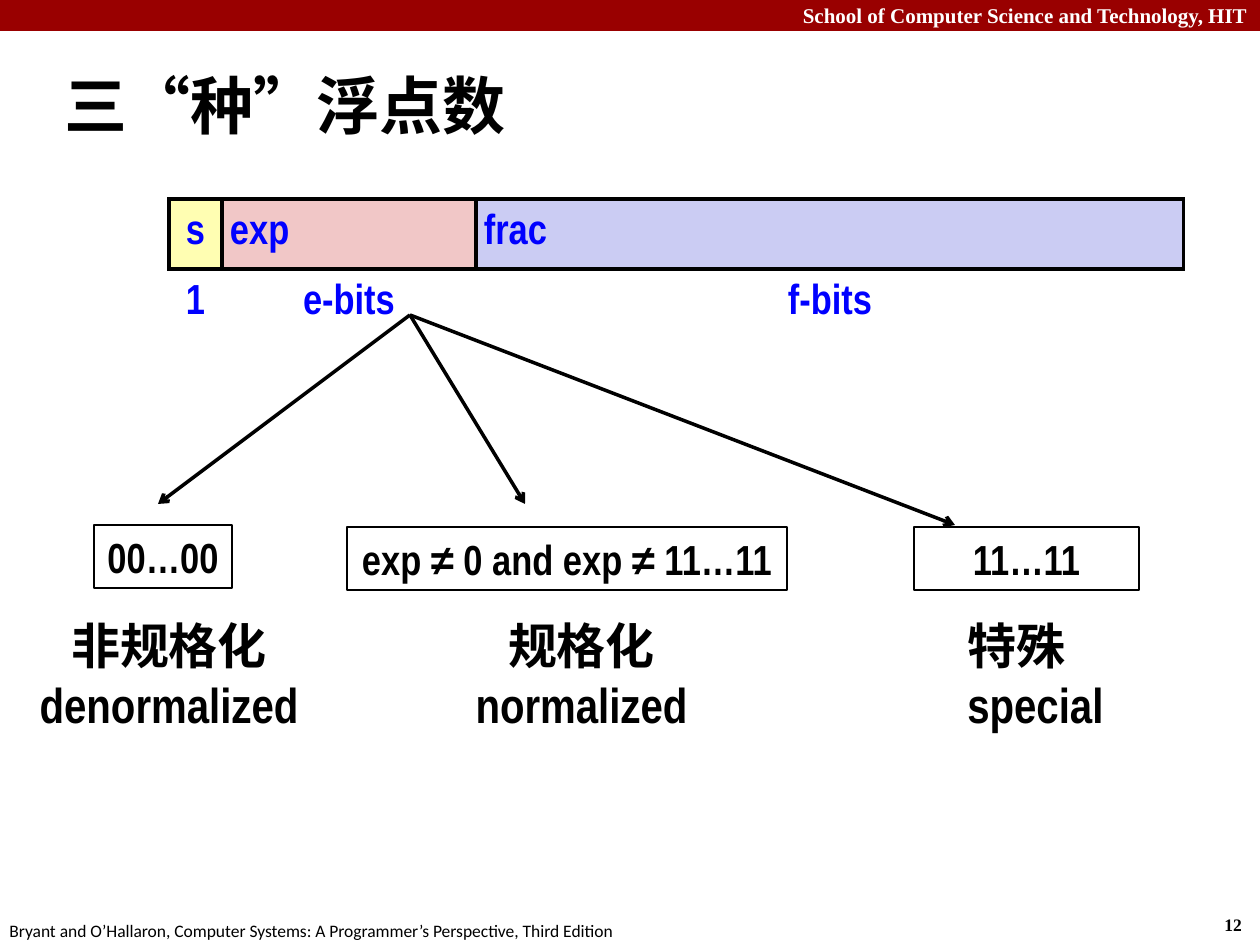
from lxml import etree
from pptx import Presentation
from pptx.dml.color import RGBColor
from pptx.enum import lang, shapes, text
from pptx.oxml.ns import qn
from pptx.util import Pt

PX = 914400 // 126
NARROW, SERIF, SANS = "Arial Narrow", "Times New Roman", "Calibri"
LEFT, CENTER, RIGHT = text.PP_ALIGN.LEFT, text.PP_ALIGN.CENTER, text.PP_ALIGN.RIGHT

CAPTIONS = [
    ("12", (1212, 908, 47, 34), dict(size=10, font=SERIF, bold=True)),
    ("School of Computer Science and Technology, HIT", (0, -4, 1260, 38),
     dict(size=12, font=SERIF, color="FFFFFF", bold=True, align=RIGHT, wrap=True)),
    ("Bryant and O’Hallaron, Computer Systems: A Programmer’s Perspective, Third Edition",
     (-3, 914, 640, 34), dict(size=10, font=SANS)),
    ("三“种”浮点数", (52, 52, 1198, 105),
     dict(size=36, font=SANS, bold=True, wrap=True, anchor=text.MSO_ANCHOR.MIDDLE)),
]
FIELDS = [
    ("s", "1", 53, "FFFEB2", CENTER),
    ("exp", "e-bits", 254, "F1C7C7", LEFT),
    ("frac", "f-bits", 708, "CBCCF3", LEFT),
]
TABLE_LEFT, TABLE_TOP, ROW_HEIGHT, CELL_MARGIN = 169, 199, 70, 8
ARROW_START = (410, 315)
KINDS = [
    dict(tip=(158, 504), pattern="00…00", box=(94, 525, 138, 63),
         names=["非规格化", "denormalized"], label=(26, 609, 286, 131), align=CENTER),
    dict(tip=(525, 504), pattern="exp ≠ 0 and exp ≠ 11…11", box=(347, 527, 440, 63),
         names=["规格化", "normalized"], label=(462, 609, 239, 131), align=CENTER),
    dict(tip=(955, 525), pattern="11…11", box=(914, 527, 225, 63),
         names=["特殊", "special"], label=(955, 609, 163, 131), align=LEFT),
]


def px(*values):
    return [value * PX for value in values]


def rgb(value):
    return RGBColor.from_string(value)


def write(frame, lines, size=24, font=NARROW, color="000000", bold=False,
          align=LEFT, wrap=False, anchor=text.MSO_ANCHOR.TOP):
    frame.word_wrap = wrap
    frame.vertical_anchor = anchor
    for index, line in enumerate(lines):
        paragraph = frame.add_paragraph() if index else frame.paragraphs[0]
        paragraph.alignment = align
        run = paragraph.add_run()
        run.text = line
        run.font.size = Pt(size)
        run.font.name = font
        run.font.bold = bold
        run.font.color.rgb = rgb(color)
        if any("一" <= letter <= "龥" for letter in line):
            run.font.language_id = lang.MSO_LANGUAGE_ID.SIMPLIFIED_CHINESE


def add_text(slide, lines, place, **style):
    write(slide.shapes.add_textbox(*px(*place)).text_frame, lines, **style)


def add_rectangle(slide, place, fill=None, line=None):
    shape = slide.shapes.add_shape(shapes.MSO_SHAPE.RECTANGLE, *px(*place))
    shape.shadow.inherit = False
    if fill:
        shape.fill.solid()
        shape.fill.fore_color.rgb = rgb(fill)
    else:
        shape.fill.background()
    if line:
        shape.line.color.rgb = rgb(line)
        shape.line.width = Pt(0.75)
    else:
        shape.line.fill.background()
    return shape


def add_arrow(slide, start, tip):
    arrow = slide.shapes.add_connector(shapes.MSO_CONNECTOR.STRAIGHT, *px(*start, *tip))
    arrow.line.color.rgb = rgb("000000")
    arrow.line.width = Pt(2)
    etree.SubElement(arrow.line._get_or_add_ln(), qn("a:tailEnd"), type="arrow")
    etree.SubElement(arrow._element.spPr, qn("a:effectLst"))


def set_borders(cell, sides):
    properties = cell._tc.get_or_add_tcPr()
    for position, side in enumerate(("L", "R", "T", "B")):
        border = etree.Element(qn(f"a:ln{side}"), w=str(Pt(2)))
        if side in sides:
            fill = etree.SubElement(border, qn("a:solidFill"))
            etree.SubElement(fill, qn("a:srgbClr"), val="000000")
        else:
            etree.SubElement(border, qn("a:noFill"))
        properties.insert(position, border)


def add_field_table(slide):
    width = sum(field[2] for field in FIELDS)
    table = slide.shapes.add_table(
        2, len(FIELDS), *px(TABLE_LEFT, TABLE_TOP, width, 2 * ROW_HEIGHT)).table
    table.first_row = table.horz_banding = False
    for column, (name, bits, column_width, fill, align) in enumerate(FIELDS):
        table.columns[column].width = column_width * PX
        rows = [(name, fill, align, "LRTB"), (bits, None, CENTER, "T")]
        for row, (label, cell_fill, cell_align, sides) in enumerate(rows):
            cell = table.cell(row, column)
            cell.margin_left = cell.margin_right = CELL_MARGIN * PX
            cell.margin_top = cell.margin_bottom = CELL_MARGIN * PX
            cell.vertical_anchor = text.MSO_ANCHOR.MIDDLE
            if cell_fill:
                cell.fill.solid()
                cell.fill.fore_color.rgb = rgb(cell_fill)
            else:
                cell.fill.background()
            set_borders(cell, sides)
            write(cell.text_frame, [label], color="0000FF", bold=True,
                  align=cell_align, wrap=True)


def main():
    presentation = Presentation()
    presentation.slide_width, presentation.slide_height = px(1260, 945)
    slide = presentation.slides.add_slide(presentation.slide_layouts[6])
    add_rectangle(slide, (0, 0, 1260, 31), fill="990000")
    for caption, place, style in CAPTIONS:
        add_text(slide, [caption], place, **style)
    add_field_table(slide)
    for kind in KINDS:
        add_arrow(slide, ARROW_START, kind["tip"])
        box = add_rectangle(slide, kind["box"], line="000000")
        write(box.text_frame, [kind["pattern"]], bold=True, align=CENTER)
        add_text(slide, kind["names"], kind["label"], size=28, bold=True, align=kind["align"])
    presentation.save("out.pptx")


if __name__ == "__main__":
    main()
